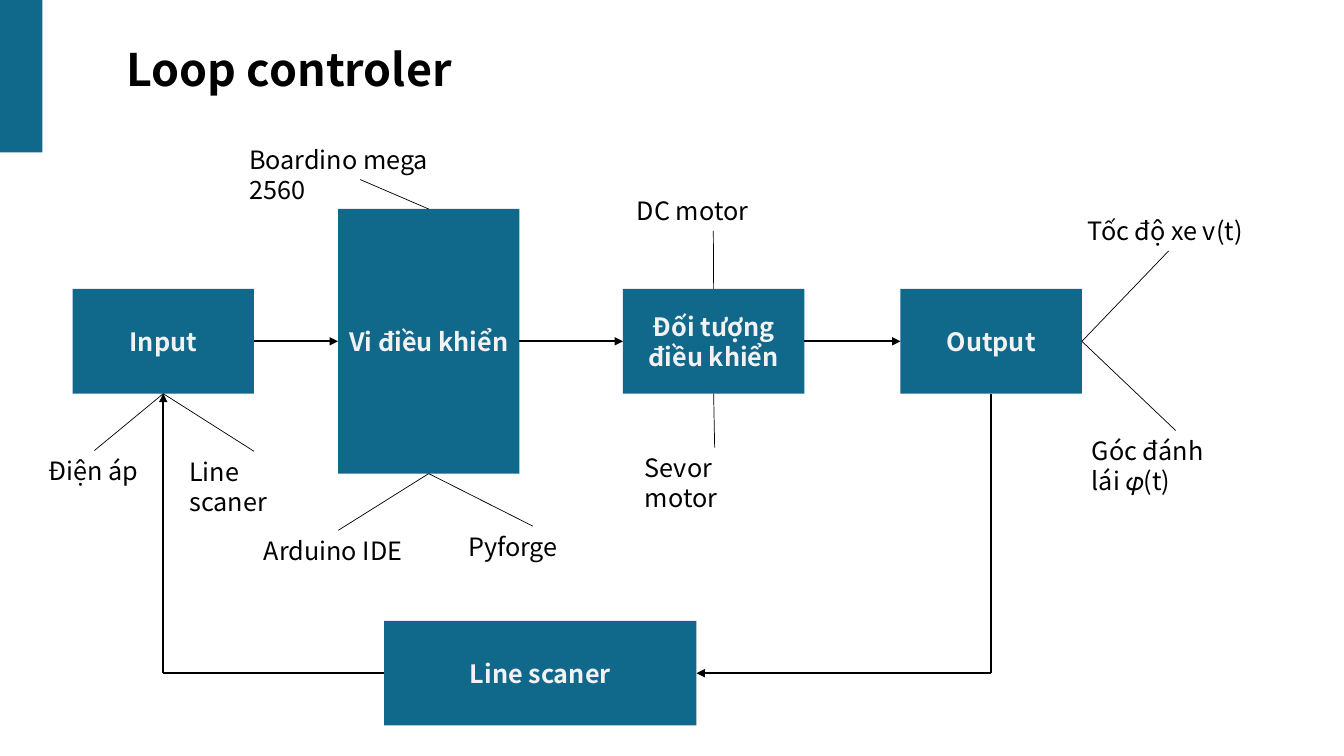
from lxml import etree
from pptx import Presentation
from pptx.dml.color import RGBColor
from pptx.enum.shapes import MSO_CONNECTOR, MSO_SHAPE
from pptx.enum.text import MSO_ANCHOR, PP_ALIGN
from pptx.oxml.ns import qn
from pptx.util import Inches, Pt

TEAL = RGBColor(0x10, 0x68, 0x8B)
PALE = RGBColor(0xF2, 0xF2, 0xF2)
BLACK = RGBColor(0, 0, 0)
WHITE = RGBColor(255, 255, 255)
FONT = "Noto Sans CJK SC"
RECT = MSO_SHAPE.RECTANGLE
LINE = MSO_CONNECTOR.STRAIGHT
MIDDLE = MSO_ANCHOR.MIDDLE
CENTER = PP_ALIGN.CENTER

WIDE, HIGH = Inches(13.33), Inches(7.5)
MID, LOW = 45.15, 89.05
BOX_W, BOX_H, LABEL_H = 13.5, 13.85, 5.35
THIN, THICK = 0.5, 1.5

BAR = (0, 0, 3.15, 20.15)
TITLE = ("Loop controler", (4.15, 2.4, 34.75, 13.3))
BOXES = {
    "input": ("Input", 12.15, MID, BOX_W, BOX_H),
    "micro": ("Vi điều khiển", 31.9, MID, BOX_W, 35),
    "plant": ("Đối tượng điều khiển", 53.1, MID, BOX_W, BOX_H),
    "output": ("Output", 73.75, MID, BOX_W, BOX_H),
    "sensor": ("Line scaner", 40.2, LOW, 23.25, BOX_H),
}
LABELS = [
    ("Điện áp", 2.85, 59.6, 8.35, "input", "bottom"),
    ("Line scaner", 13.35, 59.7, 11.1, "input", "bottom"),
    ("Boardino mega 2560", 17.8, 18.4, 18, "micro", "top"),
    ("Arduino IDE", 18.9, 70.15, 12.55, "micro", "bottom"),
    ("Pyforge", 34.1, 69.6, 11.1, "micro", "bottom"),
    ("DC motor", 46.65, 25.2, 12.85, "plant", "top"),
    ("Sevor motor", 47.25, 59.2, 11.85, "plant", "bottom"),
    ("Tốc độ xe v(t)", 80.2, 27.85, 13.5, "output", "right"),
    ("Góc đánh lái 𝜑(t)", 80.5, 56.95, 13.95, "output", "right"),
]
CHAIN = ["input", "micro", "plant", "output"]

deck = Presentation()
deck.slide_width, deck.slide_height = WIDE, HIGH
slide = deck.slides.add_slide(deck.slide_layouts[6])


def place(x, y):
    return round(WIDE * x / 100), round(HIGH * y / 100)


def write(shape, text, size, color, bold=False):
    frame = shape.text_frame
    frame.word_wrap = True
    run = frame.paragraphs[0].add_run()
    run.text = text
    font = run.font
    font.name, font.size, font.bold = FONT, Pt(size), bold
    font.color.rgb = color
    return frame


def block(area, fill, text="", size=18, color=PALE):
    x, y, w, h = area
    shape = slide.shapes.add_shape(RECT, *place(x, y), *place(w, h))
    shape.shadow.inherit = False
    shape.fill.solid()
    shape.fill.fore_color.rgb = fill
    shape.line.fill.background()
    if text:
        frame = write(shape, text, size, color, True)
        frame.vertical_anchor = MIDDLE
        frame.paragraphs[0].alignment = CENTER


def wire(start, end, width, arrow=False):
    link = slide.shapes.add_connector(LINE, *place(*start), *place(*end))
    link.line.color.rgb = BLACK
    link.line.width = Pt(width)
    if arrow:
        tail = etree.SubElement(link.line._get_or_add_ln(), qn("a:tailEnd"))
        tail.set("type", "triangle")
    etree.SubElement(link._element.spPr, qn("a:effectLst"))


def port(name, side):
    _, x, y, w, h = BOXES[name]
    dx, dy = {"left": (-1, 0), "right": (1, 0),
              "top": (0, -1), "bottom": (0, 1)}[side]
    return x + dx * w / 2, y + dy * h / 2


block(BAR, TEAL)
block(TITLE[1], WHITE, TITLE[0], 32, BLACK)

for text, x, y, w, h in BOXES.values():
    block((x - w / 2, y - h / 2, w, h), TEAL, text)

for text, x, y, w, name, side in LABELS:
    label = slide.shapes.add_textbox(*place(x, y), *place(w, LABEL_H))
    write(label, text, 18, BLACK)
    edge = y if y > MID else y + LABEL_H
    wire(port(name, side), (x + w / 2, edge), THIN)

for left, right in zip(CHAIN, CHAIN[1:]):
    wire(port(left, "right"), port(right, "left"), THICK, True)

for begin, stop in [
    (("output", "bottom"), ("sensor", "right")),
    (("sensor", "left"), ("input", "bottom")),
]:
    start, end = port(*begin), port(*stop)
    drop = start if begin[1] == "bottom" else end
    turn = (drop[0], LOW)
    wire(start, turn, THICK)
    wire(turn, end, THICK, True)

deck.save("out.pptx")
